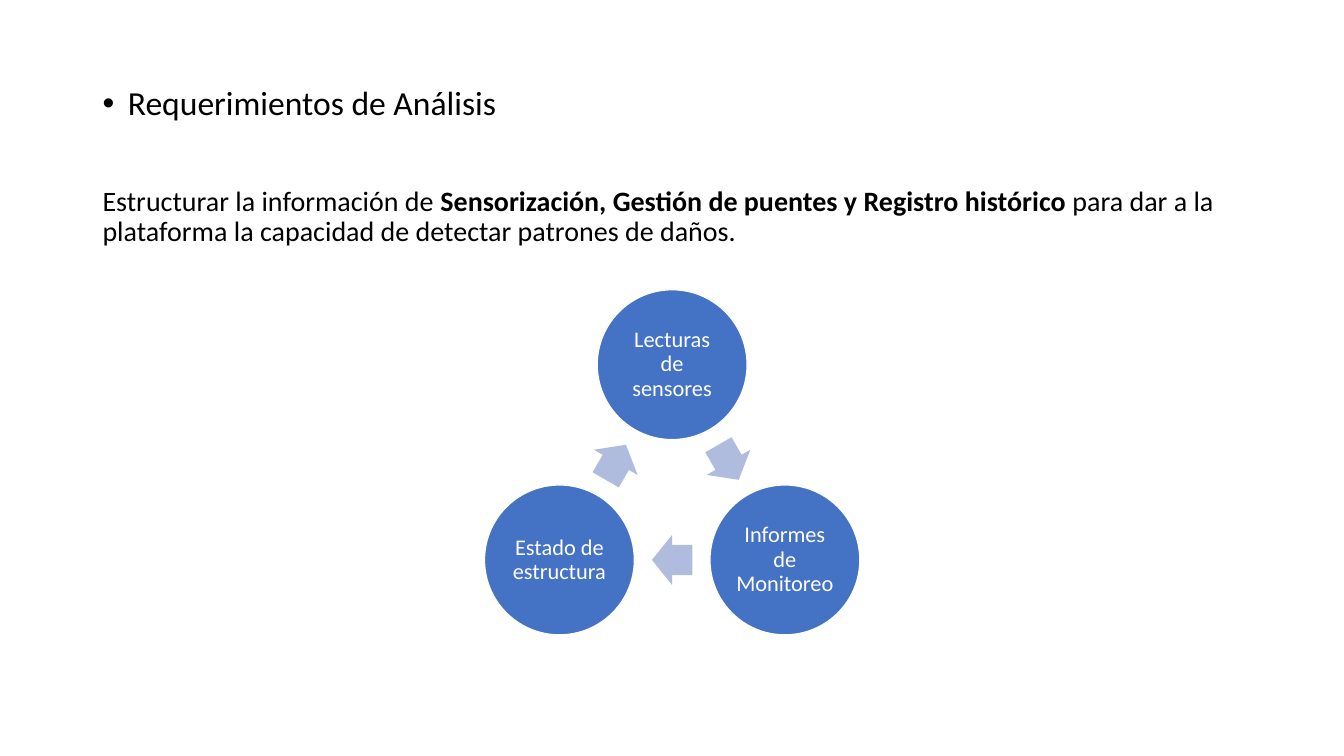
from math import cos, radians, sin

from lxml.etree import SubElement
from pptx import Presentation
from pptx.dml.color import RGBColor
from pptx.enum.shapes import MSO_SHAPE
from pptx.enum.text import MSO_ANCHOR, MSO_AUTO_SIZE, PP_ALIGN
from pptx.oxml.ns import qn
from pptx.util import Cm, Pt

COLORS = {"text": "000000", "circle": "4472C4", "arrow": "B0BCDE", "white": "FFFFFF"}
HEADING = [("Requerimientos de Análisis", False)]
STATEMENT = [
    ("Estructurar la información de ", False),
    ("Sensorización, Gestión de puentes y Registro histórico", True),
    (" para dar a la plataforma la capacidad de detectar patrones de daños.", False),
]
PARAGRAPHS = [
    {"runs": HEADING, "size": 24, "before": 0, "bullet": "•"},
    {"runs": STATEMENT, "size": 20, "before": 46, "bullet": None},
]
CYCLE = ["Lecturas de sensores", "Informes de Monitoreo", "Estado de estructura"]

BODY = (2.33, 2.06, 29.21, 15.37)
BULLET_INDENT = 0.64
CENTER_X, CENTER_Y, RADIUS = 16.94, 12.47, 3.28
CIRCLE_SIZE = 3.78
ARROW_WIDTH, ARROW_HEIGHT = 1.02, 1.27


def color(name):
    return RGBColor.from_string(COLORS[name])


def apply_format(target, values):
    for name, value in values.items():
        setattr(target, name, value)


def set_font(font, size, color_name, bold=False):
    apply_format(font, {"name": "Calibri", "size": Pt(size), "bold": bold})
    font.color.rgb = color(color_name)


def set_bullet(paragraph, bullet):
    properties = paragraph._p.get_or_add_pPr()
    indent = Cm(BULLET_INDENT) if bullet else 0
    properties.set("marL", str(indent))
    properties.set("indent", str(-indent))
    if bullet:
        SubElement(properties, qn("a:buFont")).set("typeface", "Arial")
        SubElement(properties, qn("a:buChar")).set("char", bullet)
    else:
        SubElement(properties, qn("a:buNone"))


def fill_body(body):
    left, top, width, height = map(Cm, BODY)
    apply_format(body, {"left": left, "top": top, "width": width, "height": height})
    frame = body.text_frame
    apply_format(frame, {"word_wrap": True, "auto_size": MSO_AUTO_SIZE.NONE,
                         "vertical_anchor": MSO_ANCHOR.TOP})
    for index, item in enumerate(PARAGRAPHS):
        paragraph = frame.add_paragraph() if index else frame.paragraphs[0]
        set_bullet(paragraph, item["bullet"])
        apply_format(paragraph, {"line_spacing": 0.9, "space_before": Pt(item["before"]),
                                 "alignment": PP_ALIGN.LEFT})
        for text, bold in item["runs"]:
            run = paragraph.add_run()
            run.text = text
            set_font(run.font, item["size"], "text", bold)


def add_centered_shape(slide, kind, x, y, width, height, fill):
    shape = slide.shapes.add_shape(
        kind, Cm(x - width / 2), Cm(y - height / 2), Cm(width), Cm(height))
    shape.shadow.inherit = False
    shape.fill.solid()
    shape.fill.fore_color.rgb = color(fill)
    return shape


def ring_point(angle, radius):
    return (CENTER_X + radius * cos(radians(angle)),
            CENTER_Y + radius * sin(radians(angle)))


def add_circle(slide, label, angle):
    x, y = ring_point(angle, RADIUS)
    circle = add_centered_shape(
        slide, MSO_SHAPE.OVAL, x, y, CIRCLE_SIZE, CIRCLE_SIZE, "circle")
    circle.line.color.rgb = color("white")
    circle.line.width = Pt(1)
    frame = circle.text_frame
    margins = dict.fromkeys(
        ("margin_left", "margin_right", "margin_top", "margin_bottom"), Cm(0.05))
    apply_format(frame, {"word_wrap": True, "vertical_anchor": MSO_ANCHOR.MIDDLE, **margins})
    paragraph = frame.paragraphs[0]
    apply_format(paragraph, {"alignment": PP_ALIGN.CENTER, "line_spacing": 0.9})
    run = paragraph.add_run()
    run.text = label
    set_font(run.font, 16, "white")


def add_arrow(slide, angle, step):
    x, y = ring_point(angle, RADIUS * cos(radians(step / 2)))
    arrow = add_centered_shape(
        slide, MSO_SHAPE.RIGHT_ARROW, x, y, ARROW_WIDTH, ARROW_HEIGHT, "arrow")
    arrow.line.fill.background()
    arrow.adjustments[0] = 0.6
    arrow.adjustments[1] = 0.5
    arrow.rotation = (angle + 90) % 360


def main():
    presentation = Presentation()
    presentation.slide_width = Cm(33.87)
    presentation.slide_height = Cm(19.05)
    slide = presentation.slides.add_slide(presentation.slide_layouts[1])
    title = slide.shapes.title.element
    title.getparent().remove(title)
    fill_body(slide.placeholders[1])
    step = 360 / len(CYCLE)
    for index, label in enumerate(CYCLE):
        angle = index * step - 90
        add_circle(slide, label, angle)
        add_arrow(slide, angle + step / 2, step)
    presentation.save("out.pptx")


if __name__ == "__main__":
    main()
